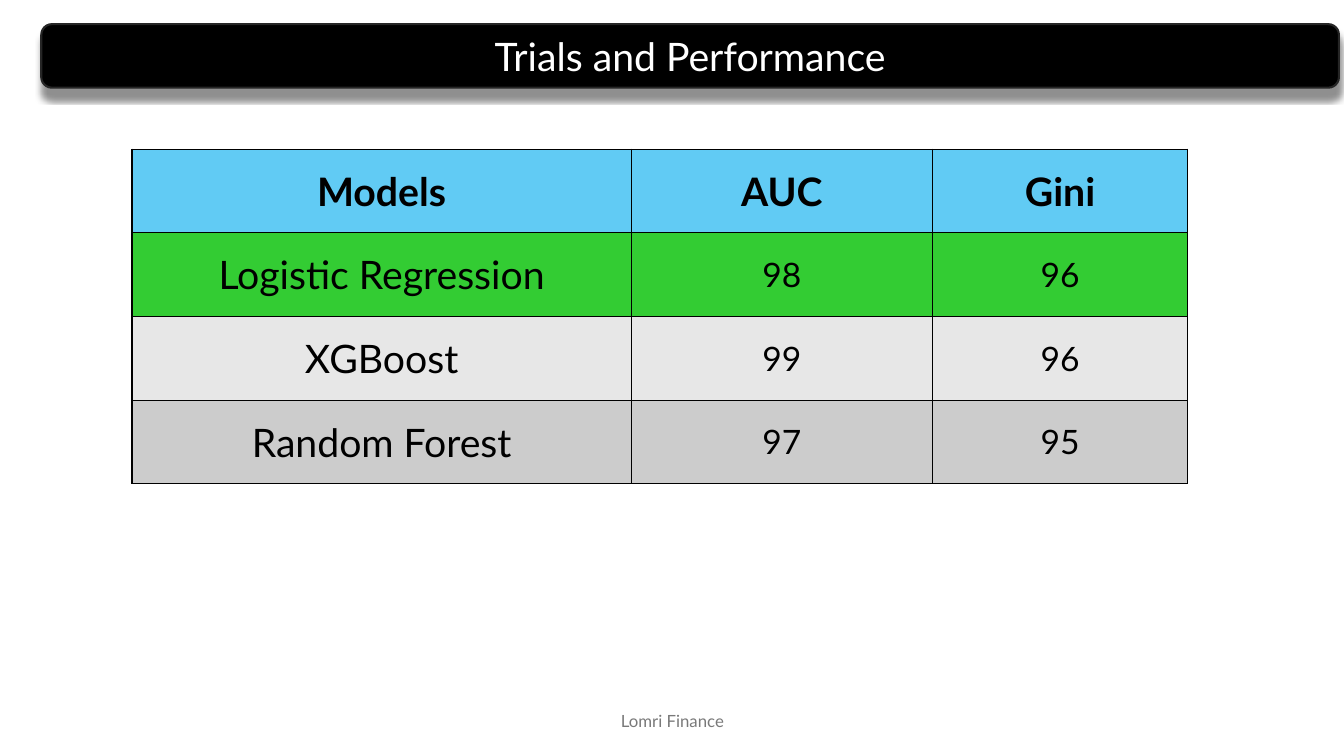
from dataclasses import dataclass

from lxml.etree import SubElement
from pptx import Presentation
from pptx.dml.color import RGBColor
from pptx.enum.shapes import MSO_SHAPE
from pptx.enum.text import MSO_ANCHOR, PP_ALIGN
from pptx.oxml.ns import qn
from pptx.util import Inches, Pt


@dataclass(frozen=True)
class Theme:
    font: str = "Lato"
    black: str = "000000"
    white: str = "FFFFFF"
    edge: str = "262626"
    muted: str = "797979"
    head: str = "61CBF4"
    best: str = "33CC33"
    light: str = "E7E7E7"
    dark: str = "CCCCCC"
    large: int = 28
    value: int = 24
    small: int = 12


THEME = Theme()

SCORES = [
    ("Models", "AUC", "Gini"),
    ("Logistic Regression", "98", "96"),
    ("XGBoost", "99", "96"),
    ("Random Forest", "97", "95"),
]
FILLS = [THEME.head, THEME.best, THEME.light, THEME.dark]


def color(code):
    return RGBColor.from_string(code)


def write(frame, text, size, ink, bold=False):
    """Put one centred line of text in a frame."""
    frame.text = text
    frame.word_wrap = True
    frame.vertical_anchor = MSO_ANCHOR.MIDDLE
    line = frame.paragraphs[0]
    line.alignment = PP_ALIGN.CENTER
    font = line.runs[0].font
    font.name, font.size, font.bold = THEME.font, Pt(size), bold
    font.color.rgb = color(ink)


def add_shadow(shape):
    """Drop a soft black shadow straight below the shape."""
    shape.shadow.inherit = False
    effects = shape._element.spPr.find(qn("a:effectLst"))
    shadow = SubElement(effects, qn("a:outerShdw"), blurRad=str(Pt(4)),
                        dist=str(Pt(7)), dir="5400000", rotWithShape="0")
    tint = SubElement(shadow, qn("a:srgbClr"), val=THEME.black)
    SubElement(tint, qn("a:alpha"), val="43000")


def add_border(cell):
    """Draw a thin line on all four sides of a cell."""
    props = cell._tc.get_or_add_tcPr()
    for spot, side in enumerate(("lnL", "lnR", "lnT", "lnB")):
        line = SubElement(props, qn(f"a:{side}"), w=str(Pt(1)))
        fill = SubElement(line, qn("a:solidFill"))
        SubElement(fill, qn("a:srgbClr"), val=THEME.black)
        props.insert(spot, line)


def add_title(slide, box, text):
    bar = slide.shapes.add_shape(MSO_SHAPE.ROUNDED_RECTANGLE, *box)
    bar.fill.solid()
    bar.fill.fore_color.rgb = color(THEME.black)
    bar.line.color.rgb = color(THEME.edge)
    bar.line.width = Pt(1.5)
    add_shadow(bar)
    write(bar.text_frame, text, THEME.large, THEME.white)


def add_scores(slide, box, shares):
    """Place the score table, its width split by the column shares."""
    width = box[2]
    table = slide.shapes.add_table(len(SCORES), len(shares), *box).table
    for column, share in zip(table.columns, shares):
        column.width = int(width * share / sum(shares))
    for r, (row, fill) in enumerate(zip(SCORES, FILLS)):
        for c, text in enumerate(row):
            cell = table.cell(r, c)
            cell.fill.solid()
            cell.fill.fore_color.rgb = color(fill)
            size = THEME.value if r and c else THEME.large
            write(cell.text_frame, text, size, THEME.black, bold=r == 0)
            cell.vertical_anchor = MSO_ANCHOR.MIDDLE
            add_border(cell)


def add_footer(slide, box, text):
    note = slide.shapes.add_textbox(*box)
    write(note.text_frame, text, THEME.small, THEME.muted)


def main():
    deck = Presentation()
    deck.slide_width, deck.slide_height = Inches(13.33), Inches(7.5)
    slide = deck.slides.add_slide(deck.slide_layouts[6])
    add_footer(slide, (Inches(4.42), Inches(6.95), Inches(4.5), Inches(0.4)),
               "Lomri Finance")
    add_title(slide, (Inches(0.41), Inches(0.24), Inches(12.87), Inches(0.63)),
              "Trials and Performance")
    add_scores(slide, (Inches(1.31), Inches(1.48), Inches(10.47), Inches(3.32)),
               (4.95, 2.99, 2.53))
    deck.save("out.pptx")


if __name__ == "__main__":
    main()
